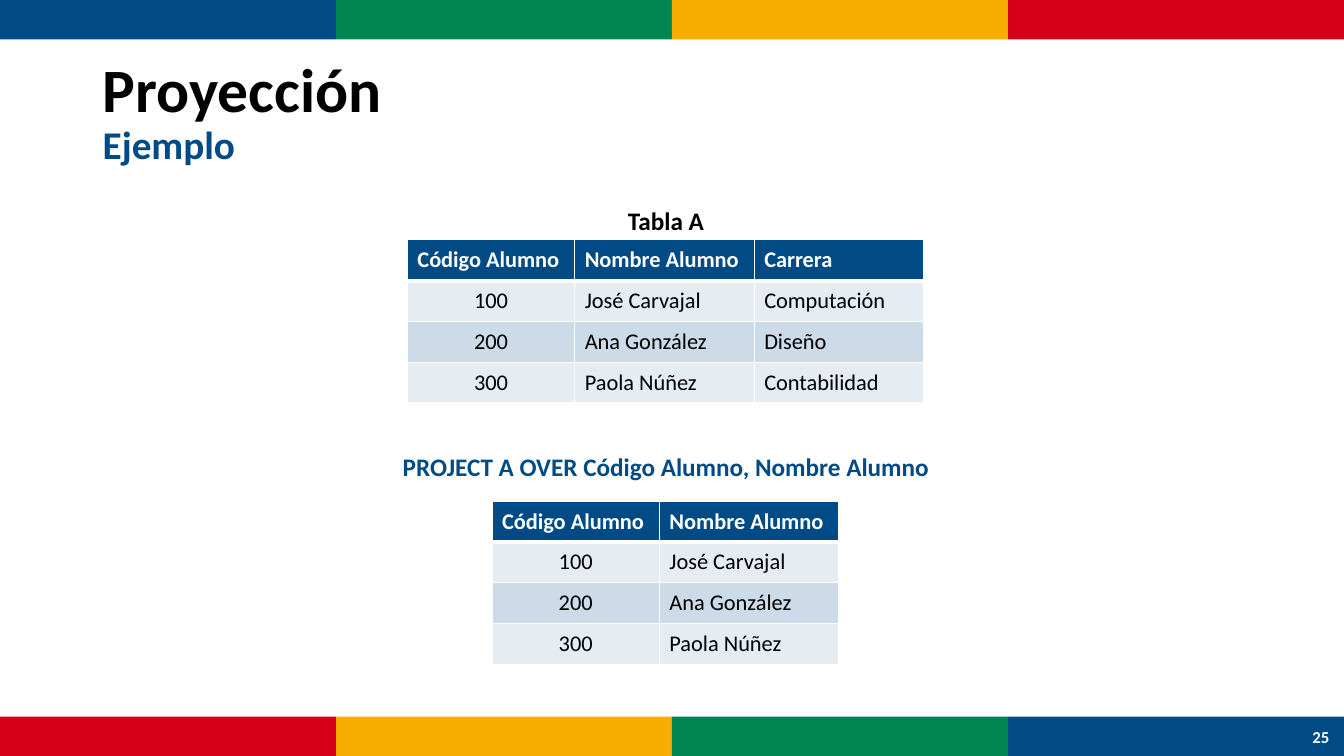
from lxml import etree
from pptx import Presentation
from pptx import util as u
from pptx.dml import color
from pptx.enum import shapes, text
from pptx.oxml import ns

BLUE, GREEN, GOLD, RED = "004B85", "008452", "F7AE00", "D60019"
WHITE, BLACK = "FFFFFF", "000000"
TINTS = ["E5EDF3", "CCDBE7"]
WIDE, HIGH, BAND = 13.33, 7.5, 0.39
HEADS = ["Código Alumno", "Nombre Alumno", "Carrera"]
ROWS = [
    ["100", "José Carvajal", "Computación"],
    ["200", "Ana González", "Diseño"],
    ["300", "Paola Núñez", "Contabilidad"],
]
COLS = [1.66, 1.78, 1.68]
ROW = 0.405
LEFT, MID = text.PP_ALIGN.LEFT, text.PP_ALIGN.CENTER


def paint(fill, hue):
    """Give a fill one solid colour."""
    fill.solid()
    fill.fore_color.rgb = color.RGBColor.from_string(hue)


def add_run(para, words, size, hue, bold=True):
    """Add one styled run to a paragraph."""
    run = para.add_run()
    run.text = words
    run.font.name = "Calibri"
    run.font.size = u.Pt(size)
    run.font.bold = bold
    run.font.color.rgb = color.RGBColor.from_string(hue)


def add_text(slide, box, runs, align=MID, space=1.0):
    """Place a text box whose runs are parted by line breaks."""
    frame = slide.shapes.add_textbox(*map(u.Inches, box)).text_frame
    frame.word_wrap = True
    frame.vertical_anchor = text.MSO_ANCHOR.MIDDLE
    para = frame.paragraphs[0]
    para.alignment = align
    para.line_spacing = space
    for num, run in enumerate(runs):
        if num:
            para.add_line_break()
        add_run(para, *run)


def add_band(slide, top, hues):
    """Draw a full-width band split evenly among the colours."""
    step = WIDE / len(hues)
    for num, hue in enumerate(hues):
        box = map(u.Inches, (num * step, top, step, BAND))
        bar = slide.shapes.add_shape(shapes.MSO_SHAPE.RECTANGLE, *box)
        bar.shadow.inherit = False
        bar.line.fill.background()
        paint(bar.fill, hue)


def add_edges(cell, top, base):
    """Draw white cell borders with the given top and bottom widths."""
    props = cell._tc.get_or_add_tcPr()
    for side, width in zip("LRTB", (1, 1, top, base)):
        line = etree.SubElement(props, ns.qn(f"a:ln{side}"), w=str(u.Pt(width)))
        fill = etree.SubElement(line, ns.qn("a:solidFill"))
        etree.SubElement(fill, ns.qn("a:srgbClr"), val=WHITE)


def add_grid(slide, left, top, count):
    """Place a table showing the first columns of the student data."""
    data = [line[:count] for line in [HEADS] + ROWS]
    box = (left, top, sum(COLS[:count]), ROW * len(data))
    grid = slide.shapes.add_table(len(data), count, *map(u.Inches, box)).table
    for col, width in zip(grid.columns, COLS):
        col.width = u.Inches(width)
    for r, line in enumerate(data):
        grid.rows[r].height = u.Inches(ROW)
        for c, words in enumerate(line):
            cell = grid.cell(r, c)
            add_edges(cell, 3 if r == 1 else 1, 1 if r else 3)
            paint(cell.fill, TINTS[(r - 1) % 2] if r else BLUE)
            cell.vertical_anchor = text.MSO_ANCHOR.MIDDLE
            para = cell.text_frame.paragraphs[0]
            para.alignment = MID if r and c == 0 else LEFT
            add_run(para, words, 16, BLACK if r else WHITE, r == 0)


def main():
    """Build and save the slide."""
    deck = Presentation()
    deck.slide_width, deck.slide_height = u.Inches(WIDE), u.Inches(HIGH)
    slide = deck.slides.add_slide(deck.slide_layouts[6])
    hues = [BLUE, GREEN, GOLD, RED]
    add_band(slide, 0, hues)
    add_band(slide, HIGH - BAND, hues[::-1])
    add_text(slide, (12.87, 7.11, 0.46, 0.4), [("25", 12, WHITE)])
    title = [("Proyección", 44, BLACK), ("Ejemplo", 28, BLUE)]
    add_text(slide, (0.92, 0.4, 11.5, 1.45), title, LEFT, 0.9)
    add_grid(slide, 4.04, 2.38, 3)
    add_text(slide, (4.04, 1.99, 5.13, 0.4), [("Tabla A", 18, BLACK)])
    query = "PROJECT A OVER Código Alumno, Nombre Alumno"
    add_text(slide, (3.89, 4.43, 5.43, 0.4), [(query, 18, BLUE)])
    add_grid(slide, 4.88, 4.97, 2)
    deck.save("out.pptx")


if __name__ == "__main__":
    main()
